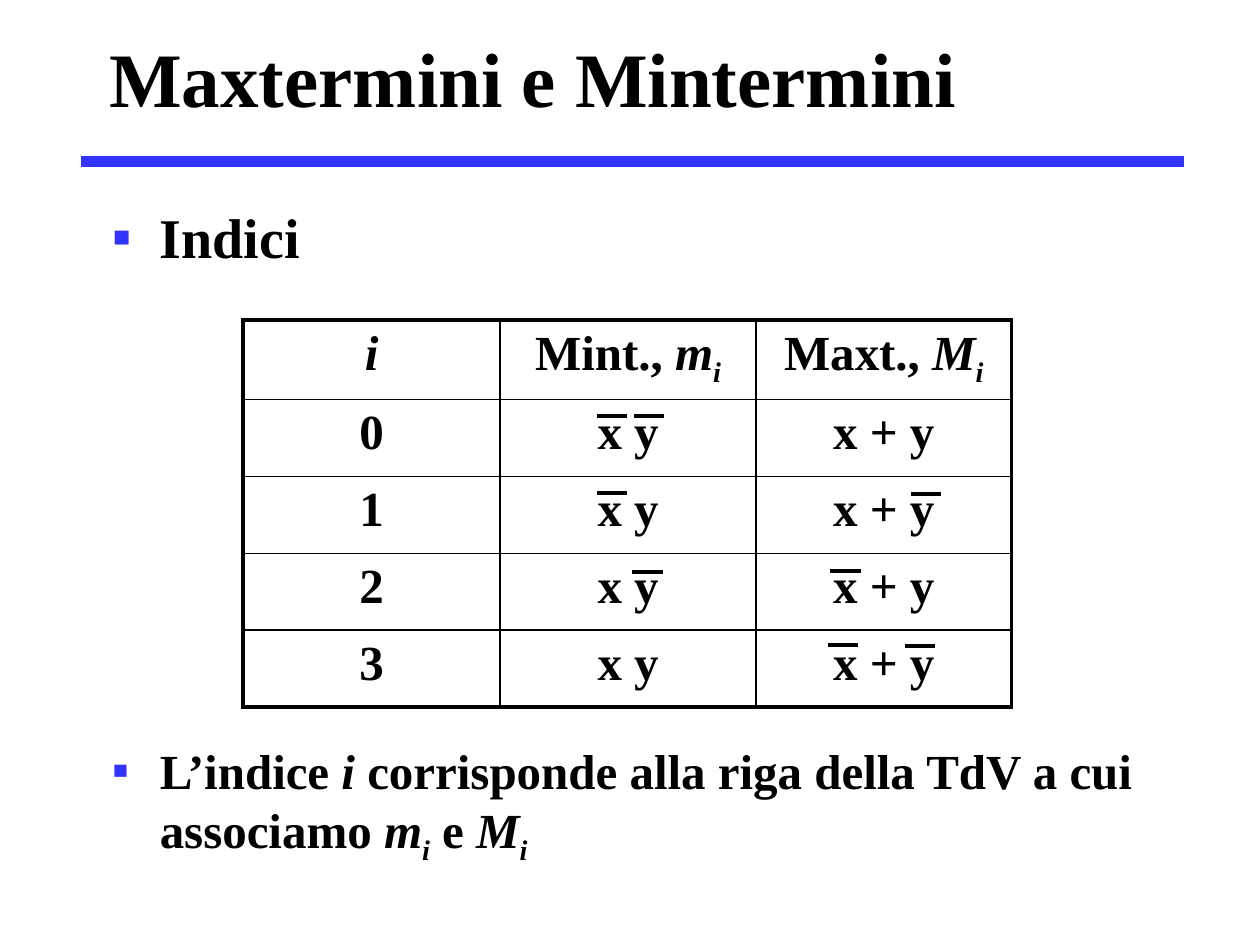
from lxml import etree
from pptx import Presentation
from pptx.dml.color import RGBColor
from pptx.enum.shapes import MSO_CONNECTOR
from pptx.enum.text import MSO_ANCHOR, PP_ALIGN
from pptx.oxml.ns import qn
from pptx.util import Inches, Pt

STRAIGHT = MSO_CONNECTOR.STRAIGHT
CENTER = PP_ALIGN.CENTER
MIDDLE, TOP = MSO_ANCHOR.MIDDLE, MSO_ANCHOR.TOP

FONT = "Times New Roman"
COLORS = {"text": "000000", "accent": "3333FF"}

# Run styles: "" upright, "i" italic, "sub" italic subscript
TITLE = [("Maxtermini e Mintermini", "")]
TOPIC = [("Indici", "")]
CONCLUSION = [
    ("L’indice ", ""), ("i", "i"),
    (" corrisponde alla riga della TdV a cui associamo ", ""),
    ("m", "i"), ("i", "sub"), (" e ", ""), ("M", "i"), ("i", "sub"),
]
HEADER = [
    [("i", "i")],
    [("Mint., ", ""), ("m", "i"), ("i", "sub")],
    [("Maxt., ", ""), ("M", "i"), ("i", "sub")],
]
ROWS = [HEADER] + [
    [[(str(index), "")], [("x y", "")], [("x + y", "")]] for index in range(4)
]
COLUMN_WIDTHS = [2.04, 2.03, 2.03]
ROW_HEIGHT = 0.61
TABLE_LEFT, TABLE_TOP = 1.93, 2.54

# Negation bars: left end and height on the slide
BAR_WIDTH = 0.24
NEGATION_BARS = [
    (4.74, 3.30), (5.03, 3.30),
    (4.74, 3.91), (7.23, 3.92),
    (5.02, 4.54), (6.59, 4.53),
    (6.57, 5.12), (7.18, 5.13),
]


def color(name):
    return RGBColor.from_string(COLORS[name])


def add_runs(paragraph, runs, size):
    for text, style in runs:
        run = paragraph.add_run()
        run.text = text
        font = run.font
        font.name, font.size, font.bold = FONT, Pt(size), True
        font.italic = style != ""
        font.color.rgb = color("text")
        if style == "sub":
            font._element.set("baseline", "-25000")


def add_text(slide, box, runs, size, anchor=TOP, bullet=False):
    frame = slide.shapes.add_textbox(*map(Inches, box)).text_frame
    frame.word_wrap = True
    frame.vertical_anchor = anchor
    paragraph = frame.paragraphs[0]
    if bullet:
        add_bullet(paragraph)
    add_runs(paragraph, runs, size)


def add_bullet(paragraph):
    properties = paragraph._p.get_or_add_pPr()
    properties.set("marL", str(Inches(0.38)))
    properties.set("indent", str(-Inches(0.38)))
    bullet_color = etree.SubElement(properties, qn("a:buClr"))
    etree.SubElement(bullet_color, qn("a:srgbClr"), val=COLORS["accent"])
    etree.SubElement(properties, qn("a:buFont"), typeface=FONT)
    etree.SubElement(properties, qn("a:buChar"), char="▪")


def add_line(slide, left, y, width, color_name, weight):
    line = slide.shapes.add_connector(
        STRAIGHT, Inches(left), Inches(y), Inches(left + width), Inches(y))
    line.line.color.rgb = color(color_name)
    line.line.width = Pt(weight)
    etree.SubElement(line._element.spPr, qn("a:effectLst"))


def set_borders(cell, weights):
    """Apply point weights in the order left, right, top, bottom."""
    properties = cell._tc.get_or_add_tcPr()
    for position, (side, weight) in enumerate(zip("LRTB", weights)):
        border = etree.Element(qn(f"a:ln{side}"), w=str(Pt(weight)))
        fill = etree.SubElement(border, qn("a:solidFill"))
        etree.SubElement(fill, qn("a:srgbClr"), val=COLORS["text"])
        properties.insert(position, border)


def add_term_table(slide):
    last_row, last_column = len(ROWS) - 1, len(COLUMN_WIDTHS) - 1
    table = slide.shapes.add_table(
        len(ROWS), len(COLUMN_WIDTHS), Inches(TABLE_LEFT), Inches(TABLE_TOP),
        Inches(sum(COLUMN_WIDTHS)), Inches(ROW_HEIGHT * len(ROWS))).table
    table.first_row = table.horz_banding = False
    for column, width in zip(table.columns, COLUMN_WIDTHS):
        column.width = Inches(width)
    for r, row in enumerate(ROWS):
        table.rows[r].height = Inches(ROW_HEIGHT)
        for c, runs in enumerate(row):
            cell = table.cell(r, c)
            cell.fill.background()
            outer_sides = (c == 0, c == last_column, r == 0, r == last_row)
            set_borders(cell, [2.25 if outer else 1 for outer in outer_sides])
            paragraph = cell.text_frame.paragraphs[0]
            paragraph.alignment = CENTER
            add_runs(paragraph, runs, 28)


def main():
    prs = Presentation()
    prs.slide_width, prs.slide_height = Inches(10), Inches(7.5)
    slide = prs.slides.add_slide(prs.slide_layouts[6])

    add_line(slide, 0.64, 1.28, 8.76, "accent", 6)
    add_text(slide, (0.77, 0.05, 8.5, 1.12), TITLE, 44, anchor=MIDDLE)
    add_text(slide, (0.79, 1.56, 8.5, 0.65), TOPIC, 32, bullet=True)
    add_term_table(slide)
    for left, y in NEGATION_BARS:
        add_line(slide, left, y, BAR_WIDTH, "text", 2.25)
    add_text(slide, (0.79, 5.83, 8.5, 1.1), CONCLUSION, 28, bullet=True)

    prs.save("out.pptx")


if __name__ == "__main__":
    main()
